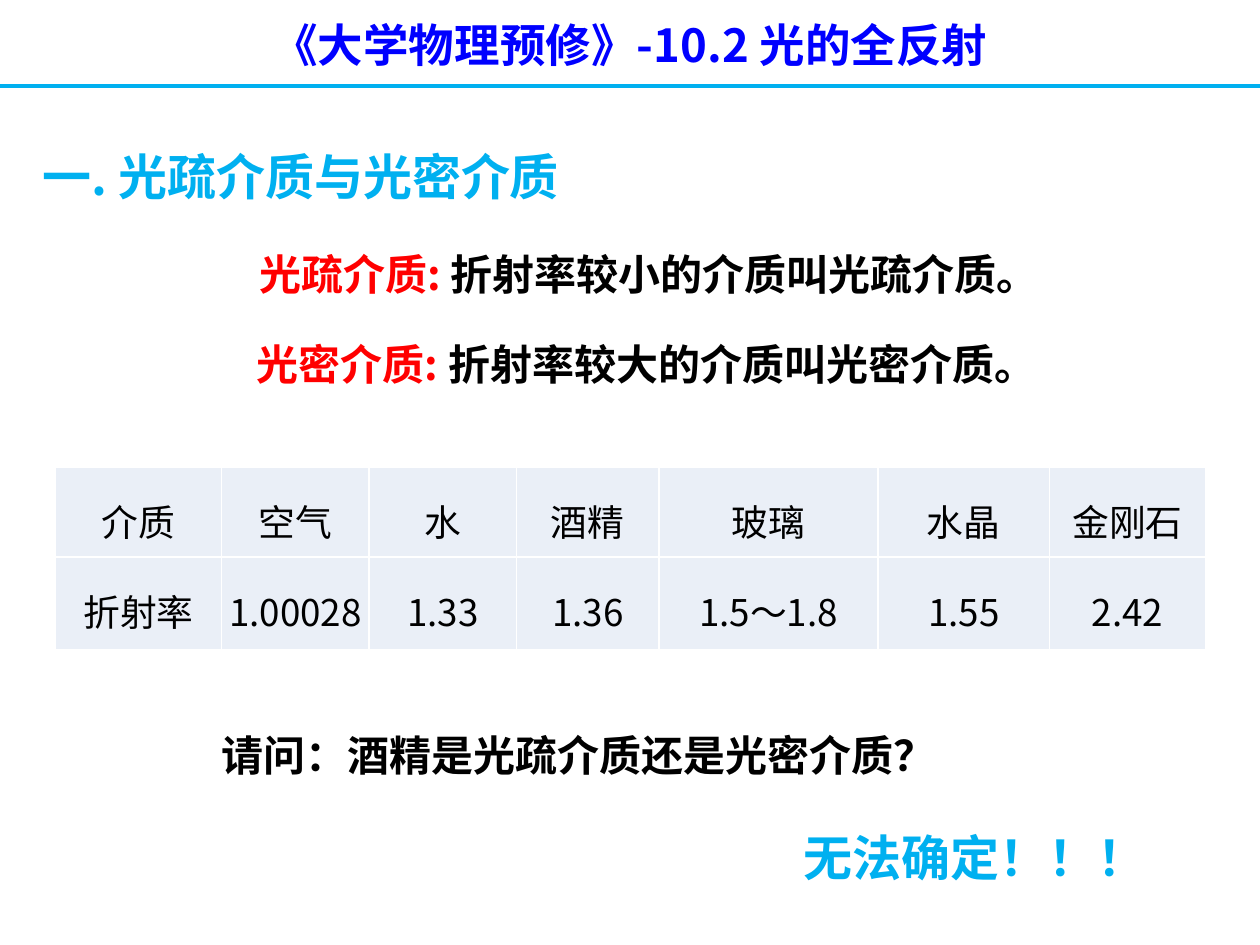
"""Build the slide on optically thinner and denser media."""
import pptx
import pptx.dml.color
import pptx.enum.shapes
import pptx.enum.text
import pptx.oxml
import pptx.oxml.ns
import pptx.util
from pptx.util import Inches

FONT = "Noto Sans CJK SC"
BLUE, CYAN, RED, BLACK, WHITE, PALE = "0000FF", "00B0F0", "FF0000", "000000", "FFFFFF", "EAEFF7"
NS = pptx.oxml.ns.nsdecls("a")


def color(hex_code):
    return pptx.dml.color.RGBColor.from_string(hex_code)


def write(paragraph, text, size=24, fill=BLACK, bold=False):
    run = paragraph.add_run()
    run.text = text
    run.font.size = pptx.util.Pt(size)
    run.font.bold = bold
    run.font.color.rgb = color(fill)
    run.font.name = FONT
    run.font._element.append(pptx.oxml.parse_xml(f'<a:ea {NS} typeface="{FONT}"/>'))


class Page:
    def __init__(self, slide):
        self.slide = slide

    def label(self, box, parts, size=24, centered=False):
        frame = self.slide.shapes.add_textbox(*map(Inches, box)).text_frame
        frame.word_wrap = True
        frame.auto_size = pptx.enum.text.MSO_AUTO_SIZE.SHAPE_TO_FIT_TEXT
        frame.vertical_anchor = pptx.enum.text.MSO_ANCHOR.MIDDLE
        paragraph = frame.paragraphs[0]
        if centered:
            paragraph.alignment = pptx.enum.text.PP_ALIGN.CENTER
        for text, fill in parts:
            write(paragraph, text, size=size, fill=fill, bold=True)

    def rule(self, y, fill, width):
        divider = self.slide.shapes.add_connector(
            pptx.enum.shapes.MSO_CONNECTOR.STRAIGHT, 0, Inches(y), Inches(10), Inches(y))
        divider.line.color.rgb = color(fill)
        divider.line.width = pptx.util.Pt(width)
        divider._element.spPr.append(pptx.oxml.parse_xml(f"<a:effectLst {NS}/>"))

    def grid(self, box, widths, heights, rows):
        table = self.slide.shapes.add_table(len(rows), len(widths), *map(Inches, box)).table
        for column, width in zip(table.columns, widths):
            column.width = Inches(width)
        for row, height, texts in zip(table.rows, heights, rows):
            row.height = Inches(height)
            for cell, text in zip(row.cells, texts):
                self.fill_cell(cell, text)

    def fill_cell(self, cell, text):
        cell.margin_left = cell.margin_right = Inches(0.04)
        cell.margin_top = cell.margin_bottom = 0
        cell.fill.solid()
        cell.fill.fore_color.rgb = color(PALE)
        paragraph = cell.text_frame.paragraphs[0]
        paragraph.alignment = pptx.enum.text.PP_ALIGN.CENTER
        paragraph.line_spacing = 1.5
        write(paragraph, text, size=21)
        properties = cell._tc.get_or_add_tcPr()
        for position, side in enumerate("LRTB"):
            properties.insert(position, pptx.oxml.parse_xml(
                f'<a:ln{side} {NS} w="12700"><a:solidFill><a:srgbClr val="{WHITE}"/>'
                f"</a:solidFill></a:ln{side}>"))


def main():
    deck = pptx.Presentation()
    deck.slide_width, deck.slide_height = Inches(10), Inches(7.5)
    page = Page(deck.slides.add_slide(deck.slide_layouts[6]))

    page.label((1.25, 0.08, 7.5, 0.54), [("《大学物理预修》-10.2 光的全反射", BLUE)], 26, centered=True)
    page.rule(0.68, CYAN, 2.25)
    page.label((0.24, 1.11, 5.31, 0.57), [("一. 光疏介质与光密介质", CYAN)], 28)
    page.label((1.96, 1.92, 6.87, 0.5),
               [("光疏介质: ", RED), ("折射率较小的介质叫光疏介质。", BLACK)])
    page.label((1.94, 2.64, 6.31, 0.5),
               [("光密介质: ", RED), ("折射率较大的介质叫光密介质。", BLACK)])
    page.label((1.66, 5.74, 5.71, 0.5), [("请问：酒精是光疏介质还是光密介质？", BLACK)])
    page.grid((0.44, 3.71, 9.12, 1.45),
              (1.32, 1.17, 1.17, 1.13, 1.74, 1.36, 1.24), (0.71, 0.74),
              [("介质", "空气", "水", "酒精", "玻璃", "水晶", "金刚石"),
               ("折射率", "1.00028", "1.33", "1.36", "1.5～1.8", "1.55", "2.42")])
    page.label((6.28, 6.52, 2.98, 0.57), [("无法确定！！！", CYAN)], 28)
    deck.save("out.pptx")


if __name__ == "__main__":
    main()
